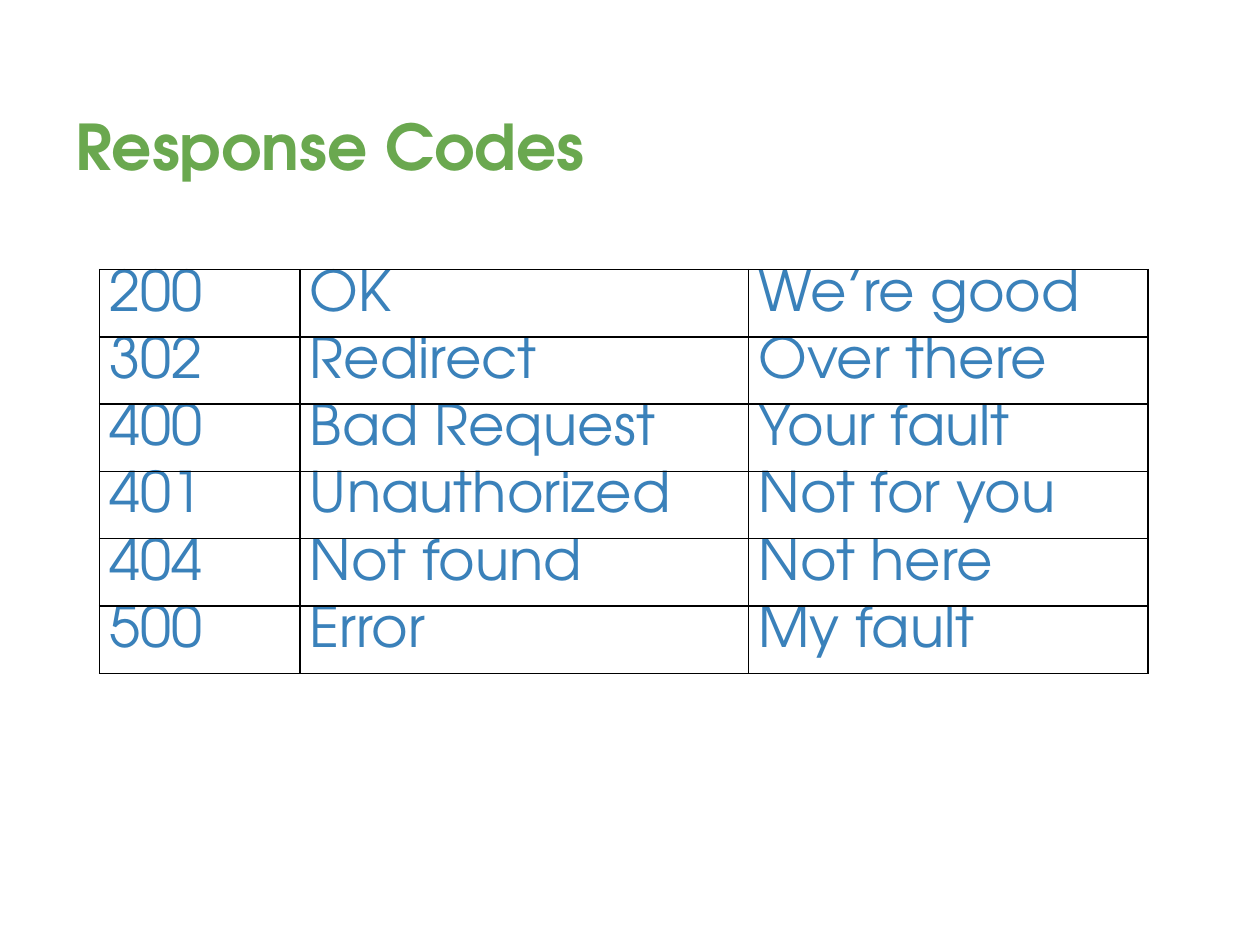
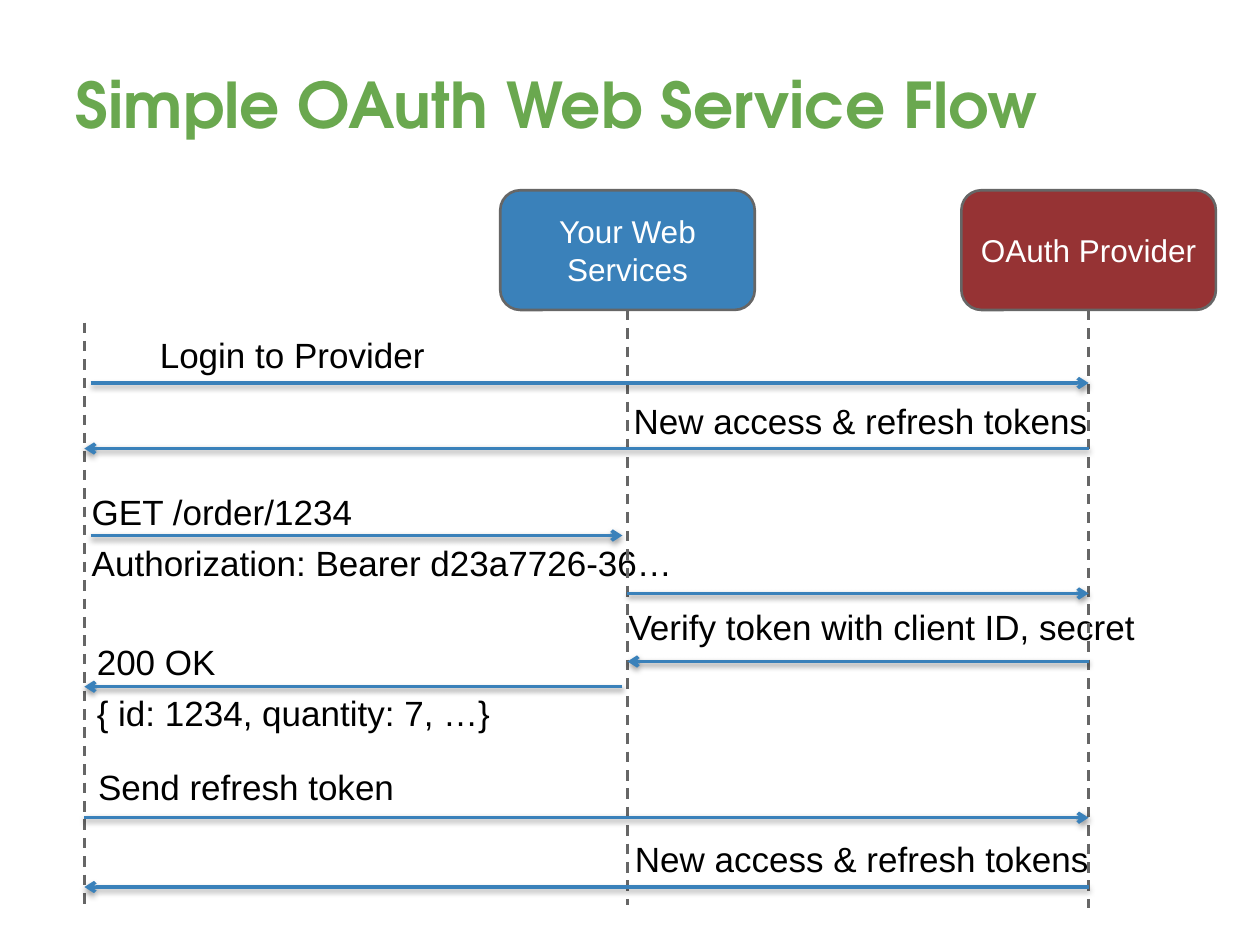
from lxml.etree import SubElement
from pptx import Presentation
from pptx.dml.color import RGBColor
from pptx.enum.dml import MSO_LINE
from pptx.enum.shapes import MSO_CONNECTOR, MSO_SHAPE
from pptx.enum.text import MSO_ANCHOR, MSO_AUTO_SIZE, PP_ALIGN
from pptx.oxml.ns import qn
from pptx.util import Inches, Pt

GREEN, BLUE, RED = "6AA84F", "3A81BA", "963334"
GRAY, BLACK, WHITE = "666666", "000000", "FFFFFF"
HEADING_FONT, BODY_FONT = "TeX Gyre Adventor", "Arial"


def rgb(color):
    return RGBColor.from_string(color)


def style(paragraph, font, size, color):
    paragraph.font.name = font
    paragraph.font.size = Pt(size)
    paragraph.font.color.rgb = rgb(color)


prs = Presentation()
prs.slide_width, prs.slide_height = Inches(10), Inches(7.5)

# Both slides: white background and bottom-anchored green title
slides = []
for heading, heading_height in [("Response Codes", 1.25),
                                ("Simple OAuth Web Service Flow", 0.92)]:
    slide = prs.slides.add_slide(prs.slide_layouts[6])
    slide.background.fill.solid()
    slide.background.fill.fore_color.rgb = rgb(WHITE)
    title = slide.shapes.add_textbox(Inches(0.5), Inches(0.3),
                                     Inches(9), Inches(heading_height)).text_frame
    title.word_wrap = True
    title.vertical_anchor = MSO_ANCHOR.BOTTOM
    title.margin_top = title.margin_bottom = Inches(0.1)
    title.text = heading
    style(title.paragraphs[0], HEADING_FONT, 36, GREEN)
    title.paragraphs[0].font.bold = True
    slides.append(slide)
codes_slide, flow_slide = slides

# Slide 1: table of response codes
responses = [
    ("200", "OK", "We’re good"),
    ("302", "Redirect", "Over there"),
    ("400", "Bad Request", "Your fault"),
    ("401", "Unauthorized", "Not for you"),
    ("404", "Not found", "Not here"),
    ("500", "Error", "My fault"),
]
row_height = 0.51
codes = codes_slide.shapes.add_table(
    len(responses), 3, Inches(0.79), Inches(2.14),
    Inches(8.32), Inches(row_height * len(responses))).table
codes.first_row = codes.horz_banding = False
for column, width in zip(codes.columns, (1.59, 3.56, 3.17)):
    column.width = Inches(width)
for row, response in enumerate(responses):
    for col, words in enumerate(response):
        cell = codes.cell(row, col)
        cell.text = words
        cell.margin_left = cell.margin_right = Inches(0.08)
        cell.margin_top = cell.margin_bottom = 0
        style(cell.text_frame.paragraphs[0], HEADING_FONT, 32, BLUE)
        # Borders come before the fill in the cell properties
        props = cell._tc.get_or_add_tcPr()
        for side in ("a:lnL", "a:lnR", "a:lnT", "a:lnB"):
            border = SubElement(props, qn(side), w=str(Pt(1)))
            border_fill = SubElement(border, qn("a:solidFill"))
            SubElement(border_fill, qn("a:srgbClr"), val=BLACK)
        cell.fill.background()

# Slide 2: message labels (left, top, width, height, line spacing, lines)
new_tokens = "New access & refresh tokens"
labels = [
    (1.17, 2.6, 2.33, 0.44, 1, ["Login to Provider"]),
    (4.93, 3.12, 3.83, 0.44, 1, [new_tokens]),
    (0.63, 3.78, 4.86, 0.9, 1.2,
     ["GET /order/1234", "Authorization: Bearer d23a7726-36…"]),
    (4.89, 4.69, 4.28, 0.49, 1.2, ["Verify token with client ID, secret"]),
    (0.67, 4.97, 3.36, 0.9, 1.2, ["200 OK", "{ id: 1234, quantity: 7, …}"]),
    (0.68, 6.03, 2.57, 0.44, 1, ["Send refresh token"]),
    (4.94, 6.6, 3.83, 0.44, 1, [new_tokens]),
]
for *box, spacing, lines in labels:
    label = flow_slide.shapes.add_textbox(*map(Inches, box)).text_frame
    label.word_wrap = False
    label.auto_size = MSO_AUTO_SIZE.SHAPE_TO_FIT_TEXT
    label.text = "\n".join(lines)
    for paragraph in label.paragraphs:
        style(paragraph, BODY_FONT, 20, BLACK)
        paragraph.line_spacing = spacing

# Participants, each centred over its lifeline
CLIENT, SERVICE, PROVIDER = 0.67, 4.98, 8.64
party_width = 2.02
for party, center, color in [("Your Web Services", SERVICE, BLUE),
                             ("OAuth Provider", PROVIDER, RED)]:
    participant = flow_slide.shapes.add_shape(
        MSO_SHAPE.ROUNDED_RECTANGLE, Inches(center - party_width / 2),
        Inches(1.51), Inches(party_width), Inches(0.95))
    participant.shadow.inherit = False
    participant.fill.solid()
    participant.fill.fore_color.rgb = rgb(color)
    participant.line.color.rgb = rgb(GRAY)
    participant.line.width = Pt(1.5)
    name = participant.text_frame
    name.word_wrap = True
    name.vertical_anchor = MSO_ANCHOR.MIDDLE
    name.margin_top = name.margin_bottom = Inches(0.1)
    name.text = party
    name.paragraphs[0].alignment = PP_ALIGN.CENTER
    style(name.paragraphs[0], BODY_FONT, 18, WHITE)

# Dashed lifelines, then message arrows (x1, y1, x2, y2)
lifelines = [(SERVICE, 2.46, SERVICE, 7.18),
             (PROVIDER, 2.46, PROVIDER, 7.21),
             (CLIENT, 2.56, CLIENT, 7.2)]
messages = [(x1, y, x2, y) for x1, x2, y in [
    (0.72, PROVIDER, 3.04),
    (PROVIDER, CLIENT, 3.56),
    (0.72, 4.94, 4.25),
    (SERVICE, PROVIDER, 4.71),
    (PROVIDER, SERVICE, 5.25),
    (4.94, CLIENT, 5.45),
    (CLIENT, PROVIDER, 6.49),
    (PROVIDER, CLIENT, 7.04),
]]
for ends in lifelines + messages:
    connector = flow_slide.shapes.add_connector(MSO_CONNECTOR.STRAIGHT,
                                                *map(Inches, ends))
    is_message = ends in messages
    connector.line.color.rgb = rgb(BLUE if is_message else GRAY)
    connector.line.width = Pt(2 if is_message else 1.5)
    outline = connector.element.spPr
    effects = SubElement(outline, qn("a:effectLst"))
    if is_message:
        SubElement(outline.find(qn("a:ln")), qn("a:tailEnd"), type="arrow")
        shadow = SubElement(effects, qn("a:outerShdw"), blurRad=str(Pt(3.1)),
                            dist=str(Pt(1.6)), dir="5400000", rotWithShape="0")
        shade = SubElement(shadow, qn("a:srgbClr"), val=BLACK)
        SubElement(shade, qn("a:alpha"), val="38000")
    else:
        connector.line.dash_style = MSO_LINE.DASH

prs.save("out.pptx")
